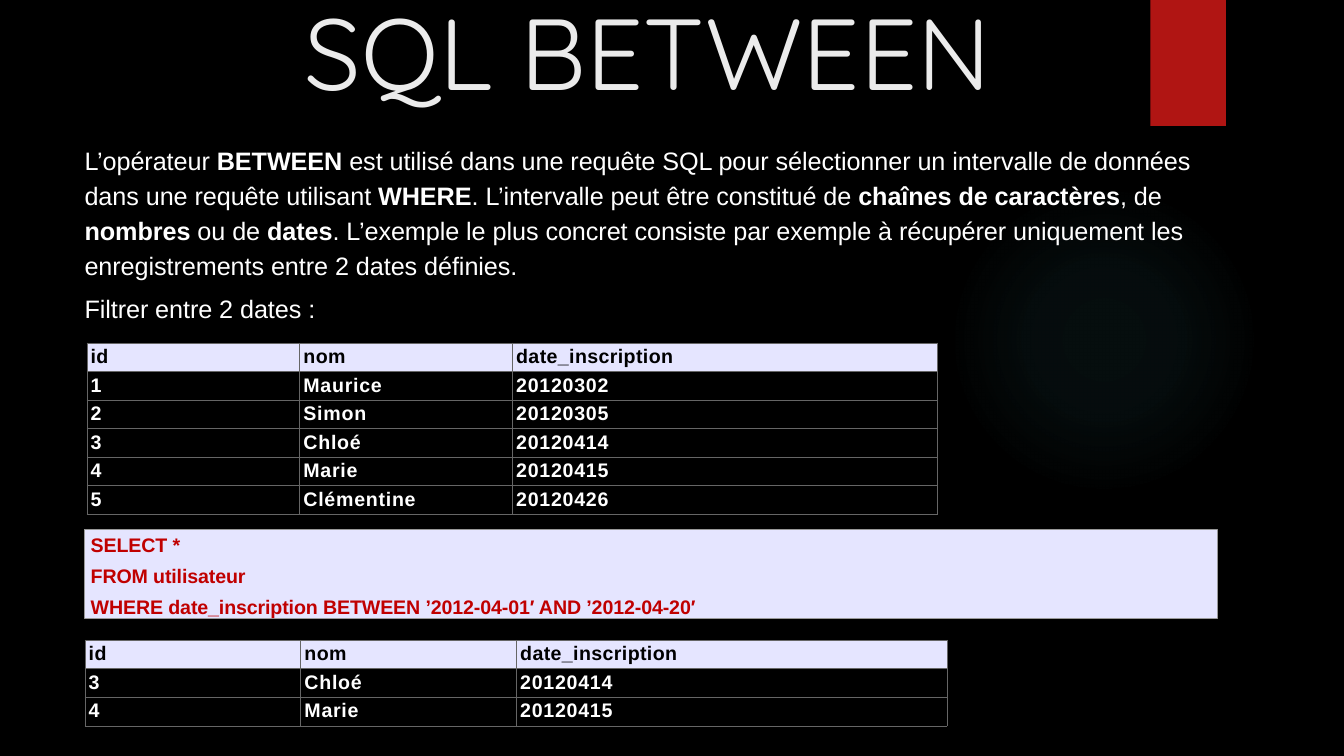
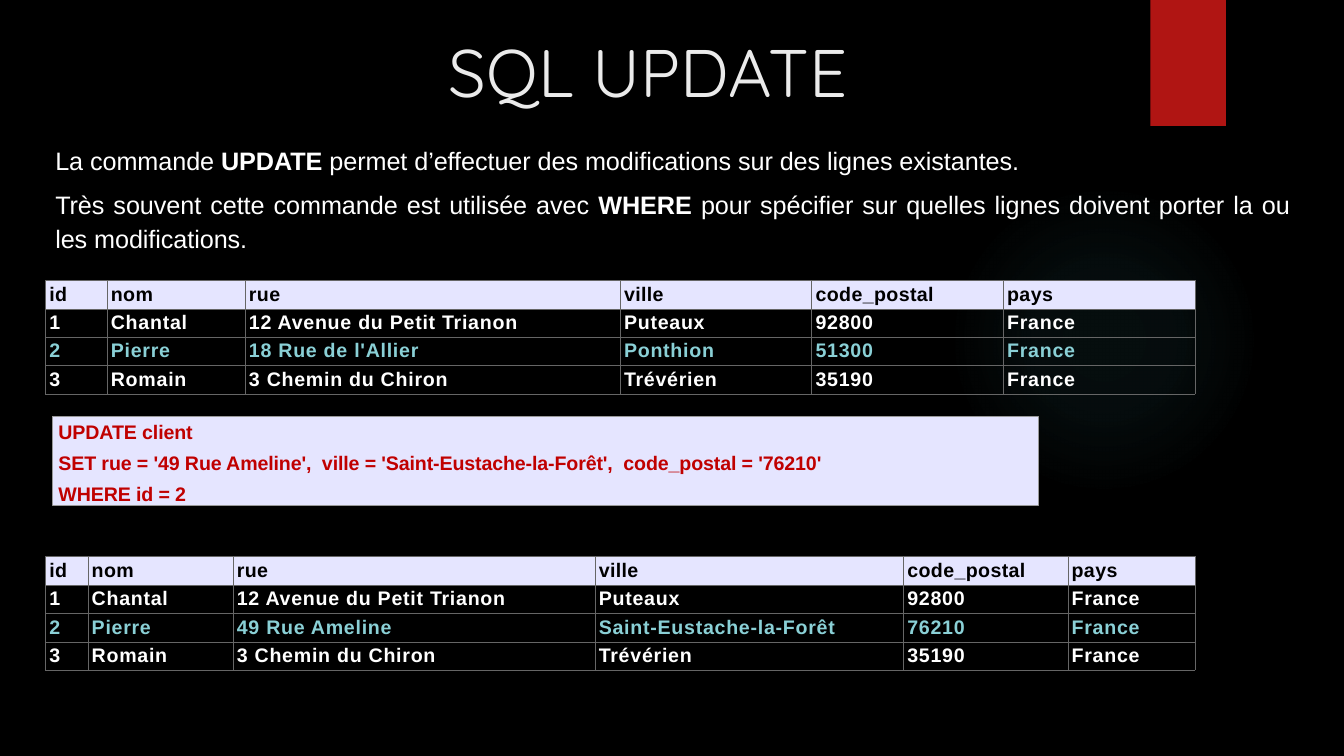
from lxml.etree import SubElement
from pptx import Presentation
from pptx.dml.color import RGBColor
from pptx.enum.shapes import MSO_SHAPE
from pptx.enum.text import MSO_ANCHOR, PP_ALIGN
from pptx.oxml import parse_xml
from pptx.oxml.ns import nsdecls, qn
from pptx.util import Pt

PX = 9144
BLACK, WHITE, TITLE, RED = "000000", "FFFFFF", "EBEBEB", "B01513"
PALE, CODE, AQUA, GLOW = "E5E5FF", "C00000", "8AD0D6", "50B9C1"
BORDER, OUTLINE = "666666", "999999"


def rgb(color):
    return RGBColor.from_string(color)


def write(tf, text, size=18, color=WHITE, bold=False, font="Arial",
          align=PP_ALIGN.LEFT, spacing=0, line=1.0, before=0):
    tf.word_wrap = True
    for i, row in enumerate(text.split("\n")):
        p = tf.add_paragraph() if i else tf.paragraphs[0]
        p.alignment = align
        p.line_spacing = line
        if i:
            p.space_before = Pt(before)
        for j, part in enumerate(row.split("**")):
            if part:
                r = p.add_run()
                r.text = part
                r.font.size = Pt(size)
                r.font.name = font
                r.font.bold = bold or j % 2 == 1
                r.font.color.rgb = rgb(color)
                r.font._element.set("spc", str(spacing))


clients = [
    ["id", "nom", "rue", "ville", "code_postal", "pays"],
    ["1", "Chantal", "12 Avenue du Petit Trianon", "Puteaux", "92800", "France"],
    ["2", "Pierre", "18 Rue de l'Allier", "Ponthion", "51300", "France"],
    ["3", "Romain", "3 Chemin du Chiron", "Trévérien", "35190", "France"],
]
moved = ["2", "Pierre", "49 Rue Ameline", "Saint-Eustache-la-Forêt", "76210", "France"]
users = [
    ["id", "nom", "date_inscription"],
    ["1", "Maurice", "20120302"],
    ["2", "Simon", "20120305"],
    ["3", "Chloé", "20120414"],
    ["4", "Marie", "20120415"],
    ["5", "Clémentine", "20120426"],
]

slides = [
    {
        "title": ("SQL BETWEEN", 72),
        "texts": [
            ((74, 135, 1171, 180), PP_ALIGN.LEFT, 1.15,
             "L’opérateur **BETWEEN** est utilisé dans une requête SQL pour sélectionner "
             "un intervalle de données dans une requête utilisant **WHERE**. L’intervalle "
             "peut être constitué de **chaînes de caractères**, de **nombres** ou de "
             "**dates**. L’exemple le plus concret consiste par exemple à récupérer "
             "uniquement les enregistrements entre 2 dates définies."),
            ((74, 286, 477, 40), PP_ALIGN.LEFT, 1.0, "Filtrer entre 2 dates :"),
        ],
        "code": ((84, 525, 1123, 88),
                 "SELECT *\nFROM utilisateur\n"
                 "WHERE date_inscription BETWEEN ’2012-04-01′ AND ’2012-04-20′"),
        "tables": [
            ((86, 340, 170), [211, 211, 422], users, None),
            ((84, 635, 85), [214, 214, 427], [users[0]] + users[3:5], None),
        ],
    },
    {
        "title": ("SQL UPDATE", 48),
        "texts": [
            ((45, 135, 1244, 123), PP_ALIGN.JUSTIFY, 1.15,
             "La commande **UPDATE** permet d’effectuer des modifications sur des lignes "
             "existantes.\nTrès souvent cette commande est utilisée avec **WHERE** pour "
             "spécifier sur quelles lignes doivent porter la ou les modifications."),
        ],
        "code": ((52, 413, 978, 88),
                 "UPDATE client\n"
                 "SET rue = '49 Rue Ameline',  ville = 'Saint-Eustache-la-Forêt',  "
                 "code_postal = '76210'\nWHERE id = 2"),
        "tables": [
            ((45, 278, 113), [61, 137, 372, 190, 190, 190], clients, 2),
            ((45, 552, 113), [42, 144, 359, 306, 163, 126],
             clients[:2] + [moved] + clients[3:], 2),
        ],
    },
]

prs = Presentation()
prs.slide_width, prs.slide_height = 1333 * PX, 750 * PX
bg = prs.slide_master.background.fill
bg.solid()
bg.fore_color.rgb = rgb(BLACK)

for content in slides:
    s = prs.slides.add_slide(prs.slide_layouts[6])

    glow = s.shapes.add_shape(MSO_SHAPE.OVAL, 941 * PX, 183 * PX, 308 * PX, 308 * PX)
    glow.shadow.inherit = False
    glow.line.fill.background()
    glow.fill.background()
    stops = "".join(
        f'<a:gs pos="{pos}000"><a:srgbClr val="{GLOW}"><a:alpha val="{alpha}000"/></a:srgbClr></a:gs>'
        for pos, alpha in [(0, 7), (36, 6), (69, 0)])
    spPr = glow._element.spPr
    spPr.replace(spPr.find(qn("a:noFill")), parse_xml(
        f'<a:gradFill {nsdecls("a")} rotWithShape="1"><a:gsLst>{stops}</a:gsLst>'
        '<a:path path="circle"><a:fillToRect l="50000" t="50000" r="50000" b="50000"/></a:path>'
        '</a:gradFill>'))

    band = s.shapes.add_shape(MSO_SHAPE.RECTANGLE, 1141 * PX, 0, 75 * PX, 125 * PX)
    band.shadow.inherit = False
    band.fill.solid()
    band.fill.fore_color.rgb = rgb(RED)
    band.line.fill.background()
    band._element.spPr.find(qn("a:effectLst")).append(parse_xml(
        f'<a:outerShdw {nsdecls("a")} blurRad="38100" dist="25400" dir="5400000" rotWithShape="0">'
        f'<a:srgbClr val="{BLACK}"><a:alpha val="45000"/></a:srgbClr></a:outerShdw>'))

    title, size = content["title"]
    tf = s.shapes.add_textbox(147 * PX, 21 * PX, 991 * PX, 94 * PX).text_frame
    tf.vertical_anchor = MSO_ANCHOR.BOTTOM
    write(tf, title, size=size, color=TITLE, font="Quicksand", align=PP_ALIGN.CENTER)

    for box, align, line, text in content["texts"]:
        tf = s.shapes.add_textbox(*[v * PX for v in box]).text_frame
        write(tf, text, align=align, line=line, before=6.2, spacing=-5)

    box, text = content["code"]
    sp = s.shapes.add_shape(MSO_SHAPE.RECTANGLE, *[v * PX for v in box])
    sp.shadow.inherit = False
    sp.fill.solid()
    sp.fill.fore_color.rgb = rgb(PALE)
    sp.line.color.rgb = rgb(OUTLINE)
    sp.line.width = Pt(0.25)
    tf = sp.text_frame
    tf.vertical_anchor = MSO_ANCHOR.TOP
    tf.margin_left, tf.margin_top, tf.margin_right, tf.margin_bottom = 6 * PX, 4 * PX, 0, 0
    write(tf, text, size=14, color=CODE, bold=True, before=5.1, spacing=-10)

    for (x, y, h), widths, rows, marked in content["tables"]:
        table = s.shapes.add_table(len(rows), len(widths), x * PX, y * PX,
                                   sum(widths) * PX, h * PX).table
        table.horz_banding = False
        for col, w in zip(table.columns, widths):
            col.width = w * PX
        for i, row in enumerate(rows):
            color = BLACK if i == 0 else AQUA if i == marked else WHITE
            for j, text in enumerate(row):
                cell = table.cell(i, j)
                cell.margin_left, cell.margin_top = 4 * PX, 3 * PX
                cell.margin_right = cell.margin_bottom = 0
                write(cell.text_frame, text, size=14, color=color, bold=True,
                      spacing=50 if i else 25)
                tcPr = cell._tc.get_or_add_tcPr()
                for side in ("lnL", "lnR", "lnT", "lnB"):
                    ln = SubElement(tcPr, qn(f"a:{side}"), w="3175")
                    fill = SubElement(ln, qn("a:solidFill"))
                    SubElement(fill, qn("a:srgbClr"), val=BORDER)
                if i:
                    cell.fill.background()
                else:
                    cell.fill.solid()
                    cell.fill.fore_color.rgb = rgb(PALE)

prs.save("out.pptx")
